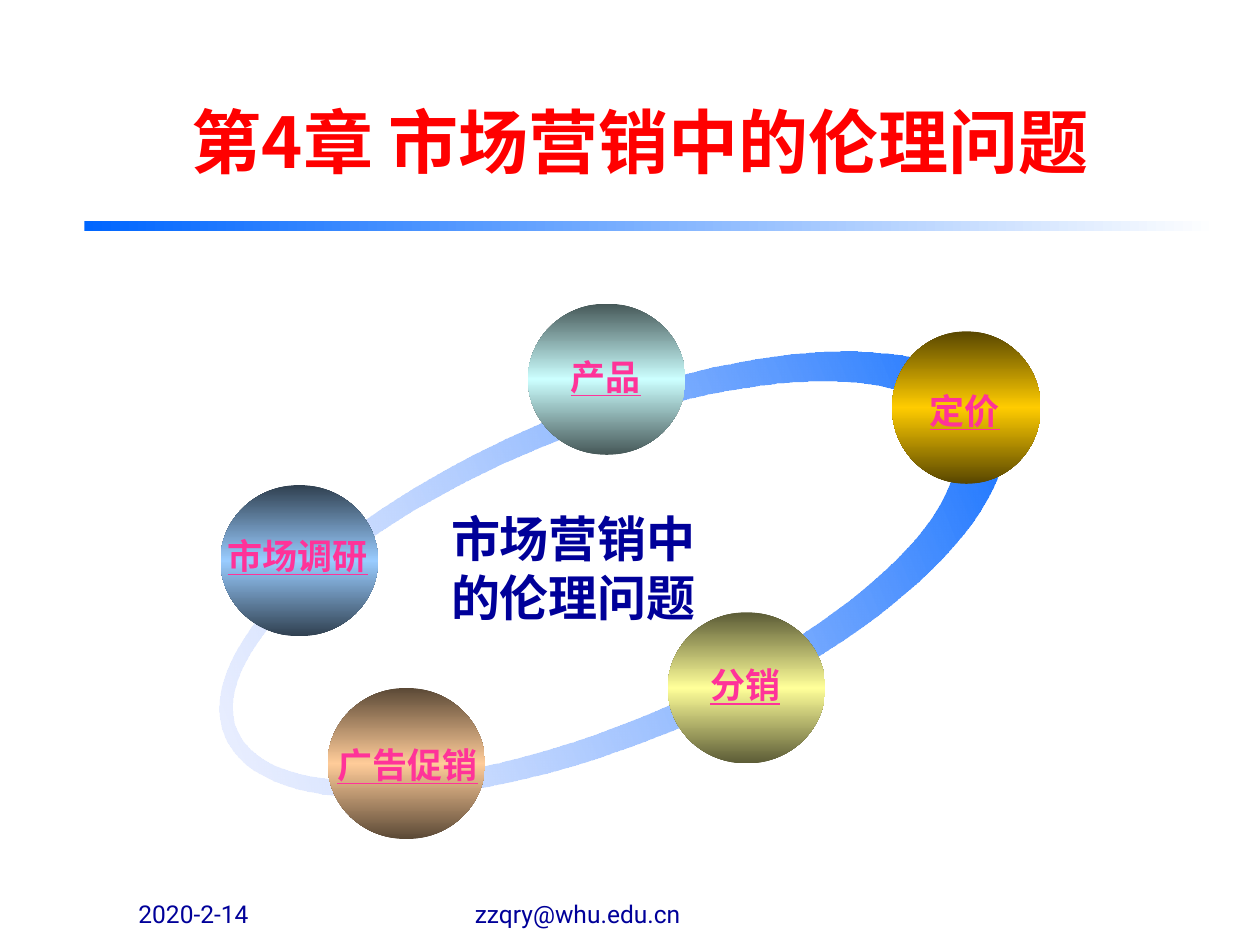
from math import cos, pi, sin

from lxml import etree
from pptx import Presentation
from pptx.dml.color import RGBColor
from pptx.enum.shapes import MSO_SHAPE
from pptx.enum.text import MSO_ANCHOR, PP_ALIGN
from pptx.oxml.ns import qn
from pptx.util import Inches, Pt

RECTANGLE, OVAL = MSO_SHAPE.RECTANGLE, MSO_SHAPE.OVAL
TOP, BOTTOM = MSO_ANCHOR.TOP, MSO_ANCHOR.BOTTOM
LEFT, CENTER = PP_ALIGN.LEFT, PP_ALIGN.CENTER

COLORS = {
    "title": "FF0000",
    "navy": "000099",
    "link": "FF3399",
    "blue": "0066FF",
    "white": "FFFFFF",
    "pale": "DADFFF",
}


def paint_gradient(shape, stops, angle=0):
    """Fill a shape with (position %, hex colour, opacity %) stops, no line or shadow."""
    shape.shadow.inherit = False
    shape.line.fill.background()
    shape.fill.gradient()
    shape.fill.gradient_angle = angle
    stop_list = shape.fill._fill._gradFill.find(qn("a:gsLst"))
    for old_stop in list(stop_list):
        stop_list.remove(old_stop)
    for position, color, opacity in stops:
        stop = etree.SubElement(stop_list, qn("a:gs"), pos=str(position * 1000))
        tint = etree.SubElement(stop, qn("a:srgbClr"), val=color)
        if opacity < 100:
            etree.SubElement(tint, qn("a:alpha"), val=str(opacity * 1000))


def add_text(box, parts, size, color, bold=False, underline=False,
             align=LEFT, anchor=TOP, wrap=True):
    """Add a one-paragraph text box from (text, font) parts."""
    frame = slide.shapes.add_textbox(*map(Inches, box)).text_frame
    frame.word_wrap = wrap
    frame.vertical_anchor = anchor
    paragraph = frame.paragraphs[0]
    paragraph.alignment = align
    for text, font_name in parts:
        run = paragraph.add_run()
        run.text = text
        run.font.name = font_name
        run.font.size = Pt(size)
        run.font.bold = bold
        run.font.underline = underline
        run.font.color.rgb = RGBColor.from_string(COLORS[color])


prs = Presentation()
prs.slide_width, prs.slide_height = Inches(10), Inches(7.5)
slide = prs.slides.add_slide(prs.slide_layouts[6])

# Title and the fading rule below it
rule = slide.shapes.add_shape(
    RECTANGLE, Inches(0.67), Inches(1.75), Inches(9), Inches(0.08))
paint_gradient(rule, [(0, COLORS["blue"], 100), (100, COLORS["white"], 100)])
add_text((1.33, 0.68, 7.5, 0.82),
         [("第", "Roboto"), ("4", "Noto Sans CJK JP"),
          ("章 市场营销中的伦理问题", "Roboto")],
         40, "title", bold=True, align=CENTER, anchor=BOTTOM)

# Tilted ring: an ellipse with a smaller one cut out left of its centre
STEPS = 120
ring_edges = []
for center_x, center_y, radius_x, radius_y in (
        (4.86, 4.56, 3.33, 1.325), (4.71, 4.55, 3.07, 1.14)):
    angles = [2 * pi * step / STEPS for step in range(STEPS)]
    ring_edges.append([(Inches(center_x + radius_x * cos(angle)),
                        Inches(center_y + radius_y * sin(angle)))
                       for angle in angles])
outer_edge, inner_edge = ring_edges
builder = slide.shapes.build_freeform(*outer_edge[0])
builder.add_line_segments(outer_edge[1:], close=True)
builder.move_to(*inner_edge[0])
builder.add_line_segments(inner_edge[:0:-1], close=True)
ring = builder.convert_to_shape()
ring.rotation = 337.4
paint_gradient(ring, [(0, COLORS["pale"], 36), (100, COLORS["blue"], 100)])

# Balls on the ring: box, edge colour, middle colour, label, label box
topics = [
    ((4.19, 2.41, 1.25, 1.2), "465858", "CCFFFF", "产品", (4.43, 2.77, 0.76, 0.43)),
    ((1.75, 3.85, 1.25, 1.2), "304050", "99CCFF", "市场调研", (1.71, 4.19, 1.31, 0.43)),
    ((2.6, 5.46, 1.25, 1.2), "5B4936", "FFCC99", "广告促销", (2.58, 5.85, 1.31, 0.43)),
    ((5.3, 4.86, 1.25, 1.2), "5B5B36", "FFFF99", "分销", (5.54, 5.22, 0.76, 0.43)),
    ((7.08, 2.63, 1.18, 1.21), "584600", "FFCC00", "定价", (7.28, 3.04, 0.76, 0.43)),
]
for ball_box, edge, middle, label, label_box in topics:
    ball = slide.shapes.add_shape(OVAL, *map(Inches, ball_box))
    paint_gradient(ball, [(0, edge, 100), (50, middle, 100), (100, edge, 100)], 90)
    add_text(label_box, [(label, "DejaVu Sans")], 20, "link",
             bold=True, underline=True, wrap=False)

add_text((3.29, 3.99, 2.52, 1.03), [("市场营销中的伦理问题", "Arial")],
         28, "navy", bold=True, align=CENTER)

# Footer
for left, width, text in ((1, 2.08, "2020-2-14"), (3.67, 3.17, "zzqry@whu.edu.cn")):
    add_text((left, 6.92, width, 0.5), [(text, "Roboto")], 14, "navy", anchor=BOTTOM)

prs.save("out.pptx")
